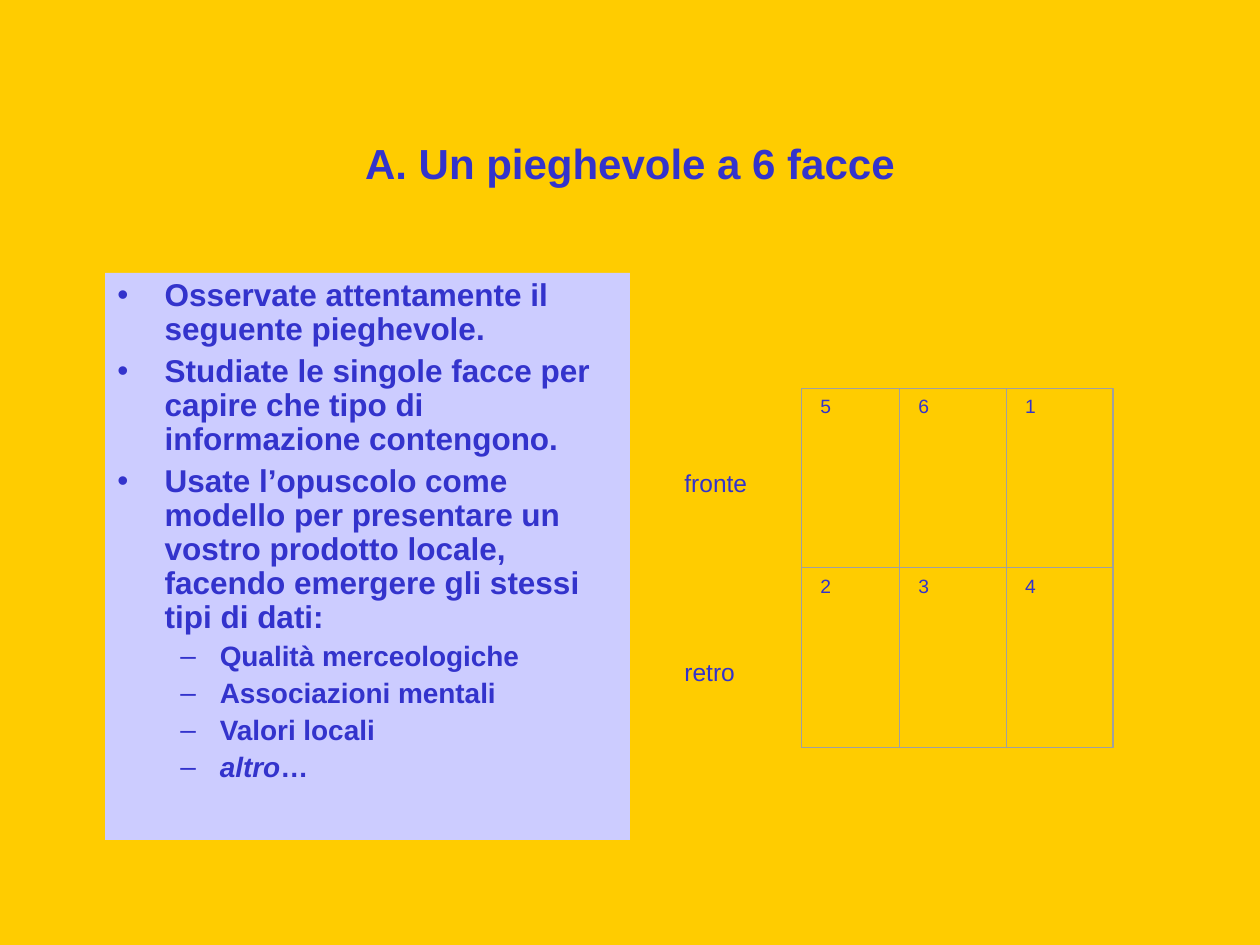
from dataclasses import dataclass
from itertools import accumulate

import pptx
import pptx.dml.color
import pptx.enum.shapes
import pptx.enum.text
import pptx.util
from lxml import etree
from pptx.oxml.ns import qn

Pt = pptx.util.Pt
RECTANGLE = pptx.enum.shapes.MSO_SHAPE.RECTANGLE
ALIGN = pptx.enum.text.PP_ALIGN
ANCHOR = pptx.enum.text.MSO_ANCHOR
COLORS = {"background": "FFCC00", "text": "3333CC", "panel": "CCCCFF", "fold": "A0A0A0"}
FONT = "Arial"


@dataclass
class Level:
    bullet: str
    margin: float
    hanging: float
    size: float
    space_before: float


@dataclass
class Item:
    text: str
    level: int = 0
    tail: str = ""  # upright ending after an italic text


@dataclass
class SideLabel:
    text: str
    top: float


LEVELS = [Level("•", 27, 27, 18, 4.5), Level("–", 58.5, 22.5, 16, 4)]
ITEMS = [
    Item("Osservate attentamente il seguente pieghevole."),
    Item("Studiate le singole facce per capire che tipo di informazione contengono."),
    Item("Usate l’opuscolo come modello per presentare un vostro prodotto locale, "
         "facendo emergere gli stessi tipi di dati:"),
    Item("Qualità merceologiche", 1),
    Item("Associazioni mentali", 1),
    Item("Valori locali", 1),
    Item("altro", 1, "…"),
]
SIDE_LABELS = [SideLabel("fronte", 264), SideLabel("retro", 372)]

# Leaflet: two sides of three faces
FACES = [["5", "6", "1"], ["2", "3", "4"]]
LEAFLET_LEFT, LEAFLET_TOP = 458, 222
FACE_WIDTHS, FACE_HEIGHT = [56, 61, 61], 102.5


def rgb(name: str) -> pptx.dml.color.RGBColor:
    return pptx.dml.color.RGBColor.from_string(COLORS[name])


def style(paragraph, size: float, bold: bool = False) -> None:
    font = paragraph.font
    font.name, font.size, font.bold = FONT, Pt(size), bold
    font.color.rgb = rgb("text")


def add_rectangle(slide, left: float, top: float, width: float, height: float):
    shape = slide.shapes.add_shape(RECTANGLE, Pt(left), Pt(top), Pt(width), Pt(height))
    shape.shadow.inherit = False
    shape.fill.background()
    shape.line.fill.background()
    shape.text_frame.vertical_anchor = ANCHOR.TOP
    return shape


def outline(shape, width: float) -> None:
    shape.line.color.rgb = rgb("fold")
    shape.line.width = Pt(width)


def add_bullet(paragraph, level: Level) -> None:
    properties = paragraph._p.get_or_add_pPr()
    properties.set("marL", str(Pt(level.margin)))
    properties.set("indent", str(-Pt(level.hanging)))
    color = etree.SubElement(properties, qn("a:buClr"))
    etree.SubElement(color, qn("a:srgbClr"), val=COLORS["text"])
    etree.SubElement(properties, qn("a:buFont"), typeface=FONT)
    etree.SubElement(properties, qn("a:buChar"), char=level.bullet)


def add_title(slide, text: str) -> None:
    title = slide.shapes.title
    title.left, title.top, title.width, title.height = Pt(54), Pt(48), Pt(612), Pt(90)
    title.text_frame.text = text
    title.text_frame.vertical_anchor = ANCHOR.MIDDLE
    heading = title.text_frame.paragraphs[0]
    heading.alignment = ALIGN.CENTER
    style(heading, 24, bold=True)


def add_instructions(slide, items: list[Item]) -> None:
    panel = add_rectangle(slide, 60, 156, 300, 324)
    panel.fill.solid()
    panel.fill.fore_color.rgb = rgb("panel")
    frame = panel.text_frame
    for index, item in enumerate(items):
        level = LEVELS[item.level]
        paragraph = frame.add_paragraph() if index else frame.paragraphs[0]
        paragraph.level = item.level
        paragraph.alignment = ALIGN.LEFT
        add_bullet(paragraph, level)
        paragraph.line_spacing = 0.9
        if index:
            paragraph.space_before = Pt(level.space_before)
        style(paragraph, level.size, bold=True)
        run = paragraph.add_run()
        run.text = item.text
        if item.tail:
            run.font.italic = True
            paragraph.add_run().text = item.tail


def add_face(slide, number: str, left: float, top: float, width: float) -> None:
    face = add_rectangle(slide, left, top, width, FACE_HEIGHT)
    outline(face, 0)
    frame = face.text_frame
    frame.margin_left = Pt(10.8)
    frame.text = number
    frame.paragraphs[0].alignment = ALIGN.LEFT
    style(frame.paragraphs[0], 11)


def add_leaflet(slide) -> None:
    lefts = list(accumulate(FACE_WIDTHS, initial=LEAFLET_LEFT))
    for row, numbers in enumerate(FACES):
        for number, left, width in zip(numbers, lefts, FACE_WIDTHS):
            add_face(slide, number, left, LEAFLET_TOP + row * FACE_HEIGHT, width)
    border = add_rectangle(slide, LEAFLET_LEFT, LEAFLET_TOP,
                           sum(FACE_WIDTHS), len(FACES) * FACE_HEIGHT)
    outline(border, 0.62)


def add_side_label(slide, label: SideLabel) -> None:
    box = slide.shapes.add_textbox(Pt(384), Pt(label.top), Pt(60), Pt(24.5))
    box.text_frame.word_wrap = True
    box.text_frame.text = label.text
    style(box.text_frame.paragraphs[0], 14)


def main() -> None:
    presentation = pptx.Presentation()
    presentation.slide_width, presentation.slide_height = Pt(720), Pt(540)
    slide = presentation.slides.add_slide(presentation.slide_layouts[5])
    slide.background.fill.solid()
    slide.background.fill.fore_color.rgb = rgb("background")

    add_title(slide, "A. Un pieghevole a 6 facce")
    add_instructions(slide, ITEMS)
    add_leaflet(slide)
    for label in SIDE_LABELS:
        add_side_label(slide, label)
    presentation.save("out.pptx")


if __name__ == "__main__":
    main()
